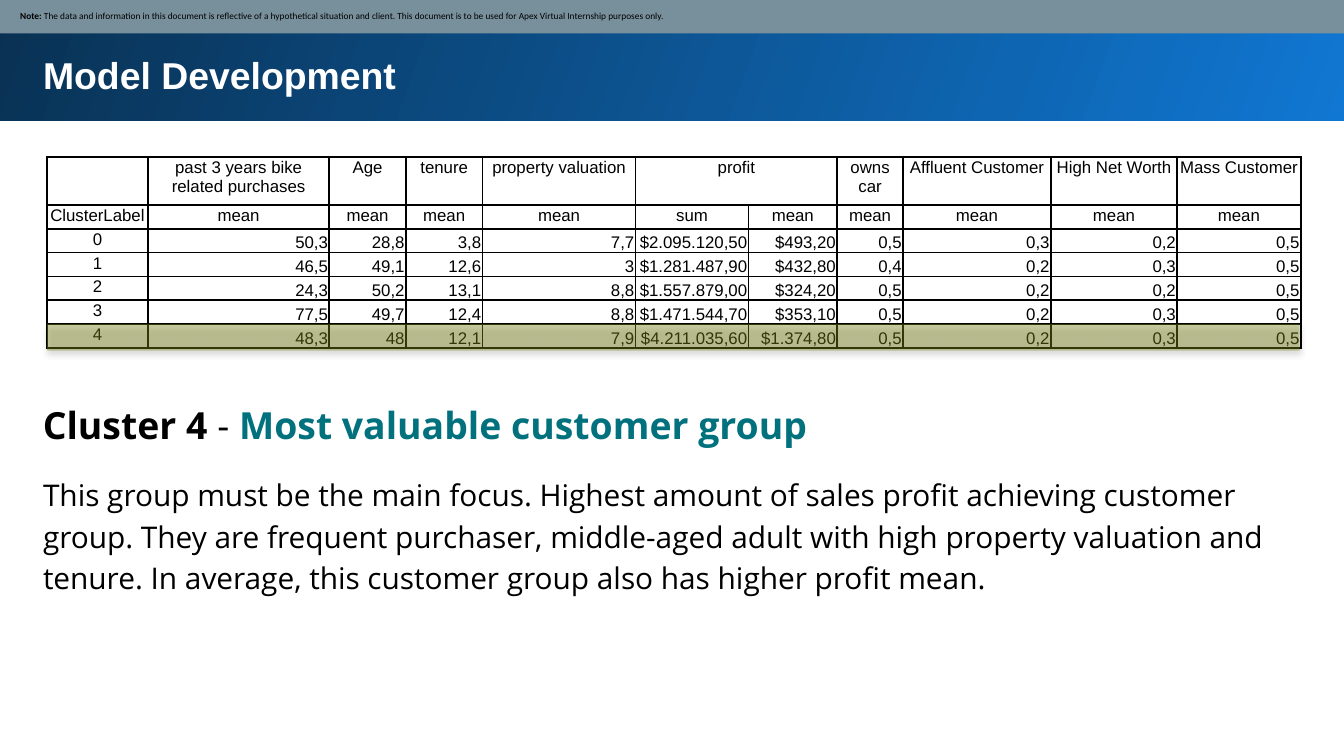
from lxml import etree
from pptx import Presentation
from pptx.dml.color import RGBColor
from pptx.enum.shapes import MSO_SHAPE
from pptx.enum.text import MSO_ANCHOR, MSO_AUTO_SIZE, PP_ALIGN
from pptx.oxml import parse_xml
from pptx.oxml.ns import nsdecls, qn
from pptx.util import Inches, Pt

RECTANGLE = MSO_SHAPE.RECTANGLE
TOP, MIDDLE, BOTTOM = MSO_ANCHOR.TOP, MSO_ANCHOR.MIDDLE, MSO_ANCHOR.BOTTOM
LEFT, CENTER, RIGHT = PP_ALIGN.LEFT, PP_ALIGN.CENTER, PP_ALIGN.RIGHT

BLACK = RGBColor(0x00, 0x00, 0x00)
WHITE = RGBColor(0xFF, 0xFF, 0xFF)
BRIGHT_BLUE = RGBColor(0x10, 0x77, 0xD2)
NAVY = RGBColor(0x09, 0x31, 0x53)
SLATE = RGBColor(0x78, 0x90, 0x9C)
TEAL = RGBColor(0x00, 0x71, 0x7D)
OLIVE = RGBColor(0x7D, 0x88, 0x18)

# Content
TITLE = "Model Development"
NOTE = [
    ("Note: ", True, BLACK),
    ("The data and information in this document is reflective of a hypothetical "
     "situation and client. This document is to be used for Apex Virtual "
     "Internship purposes only.", False, BLACK),
]
HEADING = [
    ("Cluster 4 ", True, BLACK),
    ("- ", False, BLACK),
    ("Most valuable customer group", True, TEAL),
]
EXPLANATION = (
    "This group must be the main focus. Highest amount of sales profit achieving "
    "customer group. They are frequent purchaser, middle-aged adult with high "
    "property valuation and tenure. In average, this customer group also has "
    "higher profit mean."
)
CLUSTERS = [
    ["", "past 3 years bike related purchases", "Age", "tenure", "property valuation",
     "profit", "", "owns car", "Affluent Customer", "High Net Worth", "Mass Customer"],
    ["ClusterLabel", "mean", "mean", "mean", "mean",
     "sum", "mean", "mean", "mean", "mean", "mean"],
    ["0", "50,3", "28,8", "3,8", "7,7", "$2.095.120,50", "$493,20", "0,5", "0,3", "0,2", "0,5"],
    ["1", "46,5", "49,1", "12,6", "3", "$1.281.487,90", "$432,80", "0,4", "0,2", "0,3", "0,5"],
    ["2", "24,3", "50,2", "13,1", "8,8", "$1.557.879,00", "$324,20", "0,5", "0,2", "0,2", "0,5"],
    ["3", "77,5", "49,7", "12,4", "8,8", "$1.471.544,70", "$353,10", "0,5", "0,2", "0,3", "0,5"],
    ["4", "48,3", "48", "12,1", "7,9", "$4.211.035,60", "$1.374,80", "0,5", "0,2", "0,3", "0,5"],
]
HEADER_ROWS = 2
PROFIT_COLUMN = 5
COLUMN_WIDTHS = [0.75, 1.35, 0.57, 0.57, 1.14, 0.84, 0.66, 0.49, 1.1, 0.94, 0.92]
TABLE_LEFT, TABLE_TOP, TABLE_WIDTH, TABLE_HEIGHT = 0.35, 1.17, 9.32, 1.42
TEXT_LEFT, TEXT_WIDTH = 0.22, 9.37


def place(shape, left, top, width, height):
    shape.left, shape.top = Inches(left), Inches(top)
    shape.width, shape.height = Inches(width), Inches(height)


def set_frame(frame, inset, anchor=TOP):
    frame.word_wrap = True
    frame.auto_size = MSO_AUTO_SIZE.NONE
    frame.vertical_anchor = anchor
    frame.margin_left = frame.margin_right = Inches(inset)
    frame.margin_top = frame.margin_bottom = Inches(inset)


def style(paragraph, font_name, size, color=BLACK, align=LEFT):
    paragraph.alignment = align
    paragraph.font.name = font_name
    paragraph.font.size = Pt(size)
    paragraph.font.color.rgb = color


def add_runs(paragraph, runs):
    for text, bold, color in runs:
        run = paragraph.add_run()
        run.text = text
        run.font.bold = bold
        run.font.color.rgb = color


def add_bar(shapes, left, top, width, height, color=None):
    bar = shapes.add_shape(RECTANGLE, Inches(left), Inches(top), Inches(width), Inches(height))
    bar.shadow.inherit = False
    bar.line.fill.background()
    if color is not None:
        bar.fill.solid()
        bar.fill.fore_color.rgb = color
    return bar


def add_borders(cell):
    properties = cell._tc.get_or_add_tcPr()
    for position, side in enumerate(("lnL", "lnR", "lnT", "lnB")):
        properties.insert(position, parse_xml(
            f'<a:{side} {nsdecls("a")} w="12700"><a:solidFill>'
            f'<a:srgbClr val="{BLACK}"/></a:solidFill></a:{side}>'))


def fill_cell(cell, text, is_label):
    cell.fill.background()
    cell.margin_left = cell.margin_right = cell.margin_top = Inches(0.01)
    cell.margin_bottom = 0
    cell.vertical_anchor = TOP if is_label else BOTTOM
    cell.text = text
    style(cell.text_frame.paragraphs[0], "Arial", 9, align=CENTER if is_label else RIGHT)
    add_borders(cell)


def main():
    # 16:9 slide
    prs = Presentation()
    prs.slide_width = Inches(10)
    prs.slide_height = prs.slide_width * 9 // 16
    slide = prs.slides.add_slide(prs.slide_layouts[1])
    shapes = slide.shapes
    title, explanation = slide.placeholders

    # Header band, with the title in front of it
    header = add_bar(shapes, -0.02, -0.02, 10.05, 0.92)
    header.fill.gradient()
    header.fill.gradient_angle = 160
    for stop, color, position in zip(header.fill.gradient_stops, (BRIGHT_BLUE, NAVY), (0, 1)):
        stop.color.rgb = color
        stop.position = position
    title._element.addprevious(header._element)

    place(title, TEXT_LEFT, 0.29, TEXT_WIDTH, 0.54)
    set_frame(title.text_frame, 0.1)
    title.text_frame.text = TITLE
    title_line = title.text_frame.paragraphs[0]
    style(title_line, "Arial", 20, WHITE)
    title_line.font.bold = True

    # Note strip
    strip = add_bar(shapes, -0.01, -0.01, 10.03, 0.26, SLATE)
    set_frame(strip.text_frame, 0.05, MIDDLE)
    strip.text_frame.margin_left = Inches(0.16)
    note = strip.text_frame.paragraphs[0]
    style(note, "Calibri", 5)
    add_runs(note, NOTE)

    # Cluster table: the first row is twice as high as the others
    row_height = TABLE_HEIGHT / (len(CLUSTERS) + 1)
    table = shapes.add_table(
        len(CLUSTERS), len(COLUMN_WIDTHS), Inches(TABLE_LEFT), Inches(TABLE_TOP),
        Inches(TABLE_WIDTH), Inches(TABLE_HEIGHT)).table
    table.first_row = table.horz_banding = False
    for column, width in zip(table.columns, COLUMN_WIDTHS):
        column.width = Inches(width)
    for r, values in enumerate(CLUSTERS):
        table.rows[r].height = Inches(row_height * (2 if r == 0 else 1))
        for c, value in enumerate(values):
            fill_cell(table.cell(r, c), value, r < HEADER_ROWS or c == 0)
    table.cell(0, PROFIT_COLUMN).merge(table.cell(0, PROFIT_COLUMN + 1))

    # Highlight over the last cluster
    highlight = add_bar(shapes, TABLE_LEFT, 2.41, TABLE_WIDTH, 0.2, OLIVE)
    highlight_color = highlight._element.spPr.find(qn("a:solidFill"))[0]
    etree.SubElement(highlight_color, qn("a:alpha"), val="40000")
    highlight._element.spPr.find(qn("a:effectLst")).append(parse_xml(
        f'<a:outerShdw {nsdecls("a")} blurRad="{Pt(3)}" dist="{Pt(1.8)}" dir="5400000" '
        f'rotWithShape="0"><a:srgbClr val="{BLACK}"><a:alpha val="35000"/></a:srgbClr>'
        '</a:outerShdw>'))

    # Cluster heading
    heading_box = shapes.add_textbox(
        Inches(TEXT_LEFT), Inches(2.84), Inches(TEXT_WIDTH), Inches(0.56))
    set_frame(heading_box.text_frame, 0.1)
    heading = heading_box.text_frame.paragraphs[0]
    style(heading, "Open Sans", 20)
    heading.line_spacing = 1.15
    add_runs(heading, HEADING)

    # Explanation
    place(explanation, TEXT_LEFT, 3.41, TEXT_WIDTH, 1.11)
    set_frame(explanation.text_frame, 0.1)
    explanation.text_frame.text = EXPLANATION
    body = explanation.text_frame.paragraphs[0]
    style(body, "Open Sans", 16)
    body.line_spacing = 1.15
    body.space_before = Pt(0)
    body_properties = body._p.get_or_add_pPr()
    body_properties.set("marL", "0")
    body_properties.set("indent", "0")
    body_properties.find(qn("a:defRPr")).addprevious(
        parse_xml(f'<a:buNone {nsdecls("a")}/>'))

    prs.save("out.pptx")


if __name__ == "__main__":
    main()
